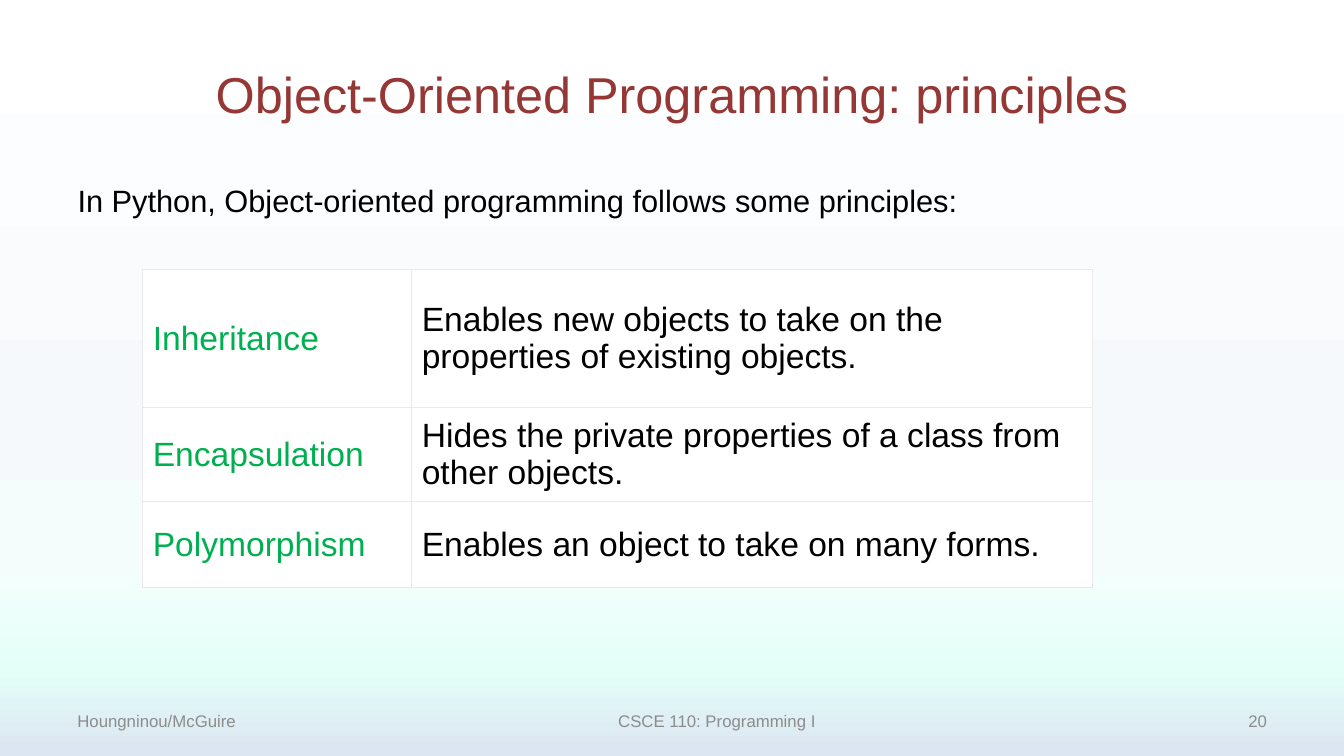
from lxml import etree
from pptx import Presentation
from pptx import util as u
from pptx.dml.color import RGBColor
from pptx.enum import text
from pptx.oxml import ns

HUES = {"title": "953735", "ink": "000000", "term": "00B050",
        "foot": "8C8C8C", "rule": "EAEAEC", "cell": "FFFFFF"}
STOPS = {0: "FFFFFF", 60: "F6F9FC", 67: "F4FDFC", 76: "F3FFFC",
         89: "E3FFF8", 99: "DCE6F2"}
ROWS = [
    ("Inheritance",
     "Enables new objects to take on the properties of existing objects."),
    ("Encapsulation",
     "Hides the private properties of a class from other objects."),
    ("Polymorphism", "Enables an object to take on many forms."),
]
ALIGN, ANCHOR = text.PP_ALIGN, text.MSO_ANCHOR
LEFT, WIDE = 1.7, 30.48


def put(item, values):
    for name, value in values.items():
        setattr(item, name, value)


def place(shape, box):
    put(shape, dict(zip(("left", "top", "width", "height"), map(u.Cm, box))))


def write(frame, words, size, hue, align=ALIGN.LEFT):
    """Fill a text frame with one formatted paragraph and return it."""
    para = frame.paragraphs[0]
    para.alignment = align
    run = para.add_run()
    run.text = words
    put(run.font, {"name": "Arial", "size": u.Pt(size), "bold": False})
    run.font.color.rgb = RGBColor.from_string(HUES[hue])
    return para


def sub(parent, tag, **attrs):
    return etree.SubElement(parent, ns.qn(tag), attrs)


def shade(slide):
    """Give the slide its vertical background gradient."""
    fill = slide.background.fill
    fill.gradient()
    fill.gradient_angle = 270
    stops = slide.element.find(".//" + ns.qn("a:gsLst"))
    for old in list(stops):
        stops.remove(old)
    for pos, hue in STOPS.items():
        stop = sub(stops, "a:gs", pos=str(pos * 1000))
        sub(stop, "a:srgbClr", val=hue)


def head(slide, box):
    title = slide.shapes.title
    place(title, box)
    title.text_frame.vertical_anchor = ANCHOR.MIDDLE
    write(title.text_frame, "Object-Oriented Programming: principles",
          36, "title", ALIGN.CENTER)


def intro(slide, box):
    body = slide.placeholders[1]
    place(body, box)
    para = write(
        body.text_frame,
        "In Python, Object-oriented programming follows some principles:",
        22, "ink")
    para.space_after = u.Pt(6)
    props = para._p.get_or_add_pPr()
    put_in = {"marL": "0", "indent": "0"}
    for name, value in put_in.items():
        props.set(name, value)
    sub(props, "a:buNone")


def edge(cell):
    """Draw a thin rule on all four sides of a cell."""
    props = cell._tc.get_or_add_tcPr()
    for spot, side in enumerate("LRTB"):
        line = etree.Element(ns.qn("a:ln" + side), w=str(u.Pt(0.75)))
        fill = sub(line, "a:solidFill")
        sub(fill, "a:srgbClr", val=HUES["rule"])
        props.insert(spot, line)


def grid(slide, box):
    """Place the table of terms and their meanings."""
    table = slide.shapes.add_table(len(ROWS), 2, *map(u.Cm, box)).table
    put(table, {"first_row": False, "horz_banding": False})
    term = 6.78
    for col, width in zip(table.columns, (term, box[2] - term)):
        col.width = u.Cm(width)
    for row, height in zip(table.rows, (3.48, 2.18, 2.18)):
        row.height = u.Cm(height)
    style = {"margin_left": u.Cm(0.25), "margin_top": u.Cm(0.25),
             "margin_right": u.Cm(0.2), "margin_bottom": u.Cm(0.23),
             "vertical_anchor": ANCHOR.MIDDLE}
    for row, pair in zip(table.rows, ROWS):
        for cell, words, hue in zip(row.cells, pair, ("term", "ink")):
            put(cell, style)
            write(cell.text_frame, words, 24, hue)
            cell.fill.solid()
            cell.fill.fore_color.rgb = RGBColor.from_string(HUES["cell"])
            edge(cell)


def foot(slide, box):
    """Place authors, course and page number along the bottom."""
    left, top, wide, high = box
    side, mid = 7.9, 12.98
    parts = [
        ("Houngninou/McGuire", left, side, ALIGN.LEFT),
        ("CSCE 110: Programming I", left + 9.88, mid, ALIGN.CENTER),
        ("20", left + wide - side, side, ALIGN.RIGHT),
    ]
    for words, start, width, align in parts:
        note = slide.shapes.add_textbox(
            *map(u.Cm, (start, top, width, high)))
        put(note.text_frame,
            {"word_wrap": True, "vertical_anchor": ANCHOR.MIDDLE})
        write(note.text_frame, words, 12, "foot", align)


def main():
    deck = Presentation()
    put(deck, {"slide_width": u.Cm(33.87), "slide_height": u.Cm(19.05)})
    slide = deck.slides.add_slide(deck.slide_layouts[1])
    shade(slide)
    head(slide, (LEFT, 0.76, WIDE, 3.18))
    intro(slide, (LEFT, 4.45, WIDE, 12.57))
    grid(slide, (3.6, 6.78, 23.93, 7.84))
    foot(slide, (LEFT, 17.65, WIDE, 1.02))
    deck.save("out.pptx")


if __name__ == "__main__":
    main()
